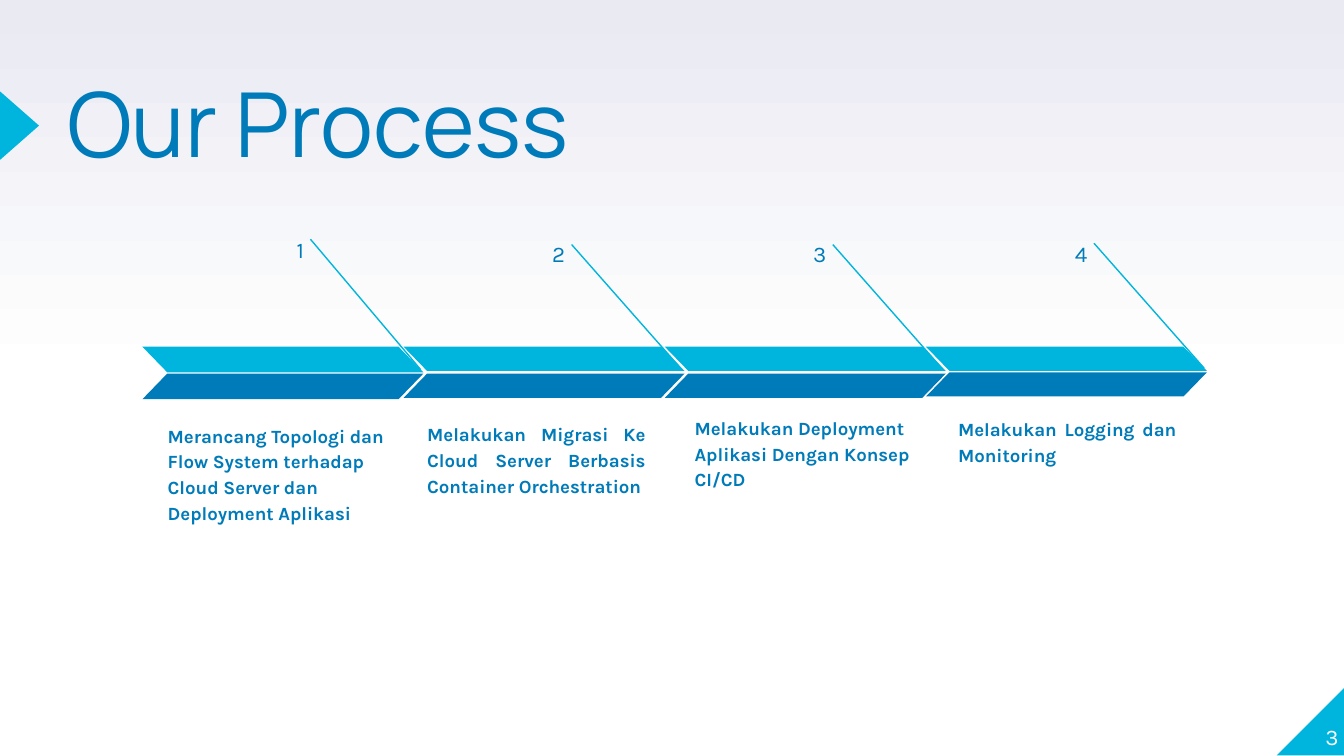
from lxml.etree import SubElement
from pptx import Presentation
from pptx.dml.color import RGBColor
from pptx.enum.shapes import MSO_CONNECTOR, MSO_SHAPE
from pptx.enum.text import MSO_ANCHOR, MSO_AUTO_SIZE, PP_ALIGN
from pptx.oxml.ns import qn
from pptx.util import Inches, Pt

CYAN, BLUE, WHITE = "00B5DD", "007BB9", "FFFFFF"
rgb = RGBColor.from_string

prs = Presentation()
prs.slide_width = Inches(10)
prs.slide_height = Inches(10 * 9 / 16)
s = prs.slides.add_slide(prs.slide_layouts[5])

bg = s.background.fill
bg.gradient()
bg.gradient_angle = 90
for stop, position, color in zip(bg.gradient_stops, (0.5, 1), (WHITE, "E9EAF2")):
    stop.position = position
    stop.color.rgb = rgb(color)


def add_shape(kind, x, y, w, h, color, flip=False):
    sp = s.shapes.add_shape(kind, Inches(x), Inches(y), Inches(w), Inches(h))
    sp.shadow.inherit = False
    sp.fill.solid()
    sp.fill.fore_color.rgb = rgb(color)
    sp.line.fill.background()
    if flip:
        sp._element.spPr.find(qn("a:xfrm")).set("flipH", "1")
    return sp


def set_text(sp, text, size, color, font="Karla", bold=False, align=PP_ALIGN.LEFT,
             anchor=MSO_ANCHOR.TOP, inset=0.1, spacing=1.15):
    tf = sp.text_frame
    tf.text = text
    tf.word_wrap = True
    tf.auto_size = MSO_AUTO_SIZE.NONE
    tf.vertical_anchor = anchor
    tf.margin_left = tf.margin_right = tf.margin_top = tf.margin_bottom = Inches(inset)
    p = tf.paragraphs[0]
    p.alignment = align
    p.line_spacing = spacing
    f = p.runs[0].font
    f.name, f.size, f.bold = font, Pt(size), bold
    f.color.rgb = rgb(color)


# Corner, title marker, title and page number
add_shape(MSO_SHAPE.RIGHT_TRIANGLE, 9.5, 5.11, 0.51, 0.51, CYAN, flip=True)
add_shape(MSO_SHAPE.ISOSCELES_TRIANGLE, -0.11, 0.79, 0.51, 0.29, CYAN).rotation = 90

title = s.shapes.title
title.left, title.top, title.width, title.height = (
    Inches(0.5), Inches(0.66), Inches(6.17), Inches(1.18))
set_text(title, "Our Process", 48, BLUE, font="Manrope", inset=0, spacing=0.8)

page = s.shapes.add_textbox(Inches(9.46), Inches(5.07), Inches(0.5), Inches(0.51))
set_text(page, "3", 12, WHITE, align=PP_ALIGN.RIGHT, anchor=MSO_ANCHOR.BOTTOM,
         inset=0, spacing=1)

# Steps: text, alignment, caption box, number top, line ends, band tops, band height
steps = [
    ("Merancang Topologi dan Flow System terhadap Cloud Server dan Deployment Aplikasi",
     PP_ALIGN.LEFT, (1.15, 3.04, 1.86, 0.96), 1.63, (1.78, 2.75), (2.58, 2.78), 0.19),
    ("Melakukan Migrasi Ke Cloud Server Berbasis Container Orchestration",
     PP_ALIGN.JUSTIFY, (3.08, 3.05, 1.82, 0.75), 1.66, (1.82, 2.75), (2.58, 2.78), 0.18),
    ("Melakukan Deployment Aplikasi Dengan Konsep CI/CD",
     PP_ALIGN.LEFT, (5.07, 3.2, 1.89, 0.55), 1.66, (1.82, 2.75), (2.58, 2.78), 0.18),
    ("Melakukan Logging dan Monitoring",
     PP_ALIGN.JUSTIFY, (7.03, 3.02, 1.82, 0.55), 1.66, (1.81, 2.74), (2.58, 2.77), 0.18),
]
first_x, last_x = 1.06, 6.89
pitch = (last_x - first_x) / (len(steps) - 1)
for i, (text, align, box, number_y, line_ys, band_ys, band_h) in enumerate(steps):
    x = first_x + pitch * i

    number = s.shapes.add_textbox(Inches(x + 0.59), Inches(number_y), Inches(0.71), Inches(0.3))
    set_text(number, str(i + 1), 12, BLUE, align=PP_ALIGN.RIGHT)
    number.text_frame.paragraphs[0].space_after = Pt(16)

    caption = s.shapes.add_textbox(*[Inches(v) for v in box])
    set_text(caption, text, 10, BLUE, bold=True, align=align, anchor=MSO_ANCHOR.BOTTOM)

    line = s.shapes.add_connector(MSO_CONNECTOR.STRAIGHT, Inches(x + 1.25), Inches(line_ys[0]),
                                  Inches(x + 2.07), Inches(line_ys[1]))
    line.line.color.rgb = rgb(CYAN)
    line.line.width = Pt(0.75)
    SubElement(line._element.spPr, qn("a:effectLst"))

    for y, color, flip in zip(band_ys, (CYAN, BLUE), (True, False)):
        band = add_shape(MSO_SHAPE.PARALLELOGRAM, x, y, 2.09, band_h, color, flip)
        band.adjustments[0] = 0.97

prs.save("out.pptx")
